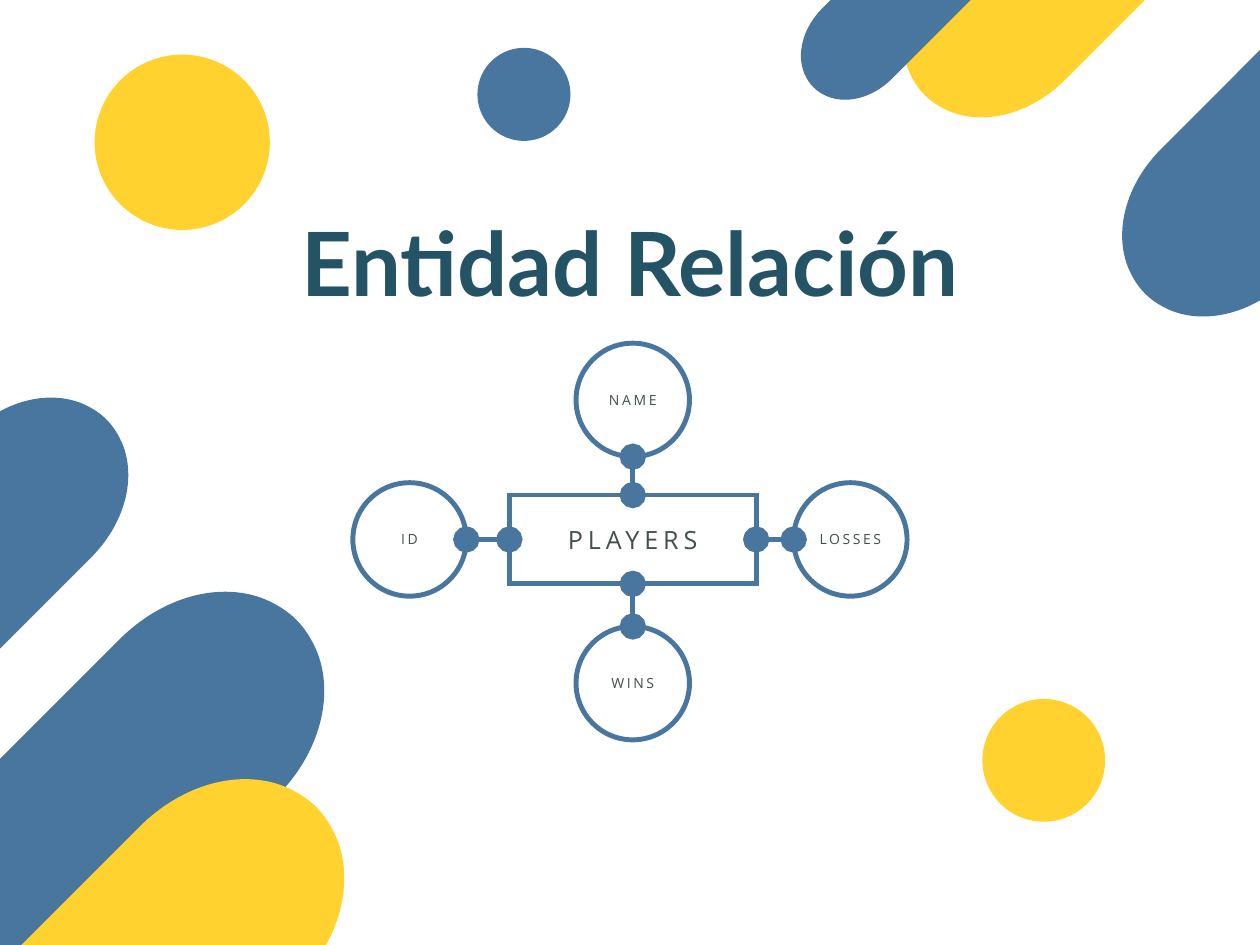
from dataclasses import dataclass
from math import hypot

from lxml.etree import SubElement
from pptx import Presentation
from pptx.dml.color import RGBColor
from pptx.enum.shapes import MSO_CONNECTOR as Connector, MSO_SHAPE as Preset
from pptx.enum.text import MSO_AUTO_SIZE as AutoSize, PP_ALIGN as Align
from pptx.oxml.ns import qn
from pptx.util import Cm, Pt


@dataclass(frozen=True)
class TextStyle:
    font: str
    size: float
    leading: float
    color: RGBColor
    spacing: float = 0
    bold: bool = False


@dataclass(frozen=True)
class Theme:
    blue = RGBColor.from_string("49769E")
    yellow = RGBColor.from_string("FFD230")
    outline = 3
    link = 3.22
    title = TextStyle("Lato", 54, 57.7, RGBColor.from_string("255366"), bold=True)
    entity = TextStyle("Open Sans", 15.3, 18.3, RGBColor.from_string("425048"), 3)
    attribute = TextStyle("Open Sans", 8.5, 10.2, RGBColor.from_string("425048"), 1.6)


# All lengths below are centimetres; x and y are centres
@dataclass(frozen=True)
class Attribute:
    name: str
    dx: float
    dy: float


@dataclass(frozen=True)
class Pill:
    x: float
    y: float
    width: float
    angle: int
    color: RGBColor


@dataclass(frozen=True)
class Dot:
    x: float
    y: float
    diameter: float
    color: RGBColor


THEME = Theme()
ENTITY_X, ENTITY_Y, ENTITY_W, ENTITY_H = 13.61, 11.6, 5.31, 1.91
RING = 2.44
ATTRIBUTES = [
    Attribute("NAME", 0, -3),
    Attribute("WINS", 0, 3.09),
    Attribute("ID", -4.8, 0),
    Attribute("LOSSES", 4.68, 0),
]
PILLS = [
    Pill(23.35, -1.42, 3.81, 225, THEME.yellow),
    Pill(28.18, 2.76, 3.91, 225, THEME.blue),
    Pill(19.43, -0.06, 2.13, 225, THEME.blue),
    Pill(2.03, 17.67, 4.78, 45, THEME.blue),
    Pill(-1.1, 12.41, 3.73, 45, THEME.blue),
    Pill(2.46, 21.7, 4.78, 45, THEME.yellow),
]
DOTS = [
    Dot(11.27, 2.03, 2, THEME.blue),
    Dot(22.45, 16.35, 2.64, THEME.yellow),
    Dot(3.92, 3.06, 3.77, THEME.yellow),
]

# Right half of the pill cap: two Bezier curves from the top centre to the
# shoulder, in hundredths of the pill width
CAP = [(0, 0), (5.8, 0), (11, 1.3), (16.6, 3.5), (35.9, 11.7), (50, 34.3), (50, 62.8)]
PILL_LENGTH = 257


def centred(x: float, y: float, width: float, height: float) -> tuple:
    return Cm(x - width / 2), Cm(y - height / 2), Cm(width), Cm(height)


def paint(shape, color: RGBColor) -> None:
    shape.shadow.inherit = False
    shape.fill.solid()
    shape.fill.fore_color.rgb = color
    shape.line.fill.background()


def add_outline(shapes, preset: Preset, x: float, y: float, width: float, height: float) -> None:
    frame = shapes.add_shape(preset, *centred(x, y, width, height))
    frame.shadow.inherit = False
    frame.fill.background()
    frame.line.color.rgb = THEME.blue
    frame.line.width = Pt(THEME.outline)
    SubElement(frame.line._get_or_add_ln(), qn("a:miter"), lim="800000")


def add_label(shapes, text: str, style: TextStyle, x: float, y: float,
              width: float, height: float) -> None:
    frame = shapes.add_textbox(*centred(x, y, width, height)).text_frame
    frame.margin_left = frame.margin_right = frame.margin_top = frame.margin_bottom = 0
    frame.word_wrap = True
    frame.auto_size = AutoSize.SHAPE_TO_FIT_TEXT
    paragraph = frame.paragraphs[0]
    paragraph.alignment = Align.CENTER
    paragraph.line_spacing = Pt(style.leading)
    run = paragraph.add_run()
    run.text = text
    run.font.name = style.font
    run.font.size = Pt(style.size)
    run.font.bold = style.bold
    run.font.color.rgb = style.color
    if style.spacing:
        run.font._element.set("spc", str(round(style.spacing * 100)))


def add_link(shapes, start: tuple, end: tuple) -> None:
    link = shapes.add_connector(Connector.STRAIGHT, *map(Cm, start + end))
    link.line.color.rgb = THEME.blue
    link.line.width = Pt(THEME.link)
    outline = link.line._get_or_add_ln()
    for tag in ("a:headEnd", "a:tailEnd"):
        SubElement(outline, qn(tag), type="oval", w="lg", len="lg")
    SubElement(link._element.spPr, qn("a:effectLst"))


def add_attribute_link(shapes, attribute: Attribute) -> None:
    distance = hypot(attribute.dx, attribute.dy)
    ux, uy = attribute.dx / distance, attribute.dy / distance
    reach = distance - RING / 2
    add_link(shapes,
             (ENTITY_X + ux * reach, ENTITY_Y + uy * reach),
             (ENTITY_X + ux * ENTITY_W / 2, ENTITY_Y + uy * ENTITY_H / 2))


def bend(segments: list) -> None:
    """Turn each three straight segments into one Bezier curve."""
    for first, second, third in zip(segments[::3], segments[1::3], segments[2::3]):
        curve = first.makeelement(qn("a:cubicBezTo"))
        first.addprevious(curve)
        for segment in (first, second, third):
            curve.append(segment[0])
            segment.getparent().remove(segment)


def add_pill(shapes, pill: Pill) -> None:
    base = [(50, PILL_LENGTH), (-50, PILL_LENGTH)]
    outline = CAP + base + [(-x, y) for x, y in reversed(CAP)]
    unit = pill.width / 100
    points = [(Cm(pill.x + x * unit), Cm(pill.y + (y - PILL_LENGTH / 2) * unit))
              for x, y in outline]
    builder = shapes.build_freeform(*points[0])
    builder.add_line_segments(points[1:], close=True)
    body = builder.convert_to_shape()
    segments = list(body._element.iter(qn("a:lnTo")))
    curved = len(CAP) - 1
    bend(segments[:curved])
    bend(segments[-curved:])
    body.rotation = pill.angle
    paint(body, pill.color)


def main() -> None:
    deck = Presentation()
    deck.slide_width, deck.slide_height = Cm(27.1), Cm(20.32)
    shapes = deck.slides.add_slide(deck.slide_layouts[6]).shapes

    # Title
    add_label(shapes, "Entidad Relación", THEME.title, 13.55, 5.77, 20.45, 2.08)

    # Entity with its attributes
    add_outline(shapes, Preset.RECTANGLE, ENTITY_X, ENTITY_Y, ENTITY_W, ENTITY_H)
    add_label(shapes, "PLAYERS", THEME.entity, ENTITY_X, ENTITY_Y, 3.28, 0.64)
    for attribute in ATTRIBUTES:
        x, y = ENTITY_X + attribute.dx, ENTITY_Y + attribute.dy
        add_outline(shapes, Preset.OVAL, x, y, RING, RING)
        add_label(shapes, attribute.name, THEME.attribute, x, y, 1.83, 0.36)
    for attribute in ATTRIBUTES:
        add_attribute_link(shapes, attribute)

    # Corner decoration
    for pill in PILLS:
        add_pill(shapes, pill)
    for dot in DOTS:
        paint(shapes.add_shape(Preset.OVAL, *centred(dot.x, dot.y, dot.diameter, dot.diameter)),
              dot.color)

    deck.save("out.pptx")


if __name__ == "__main__":
    main()
